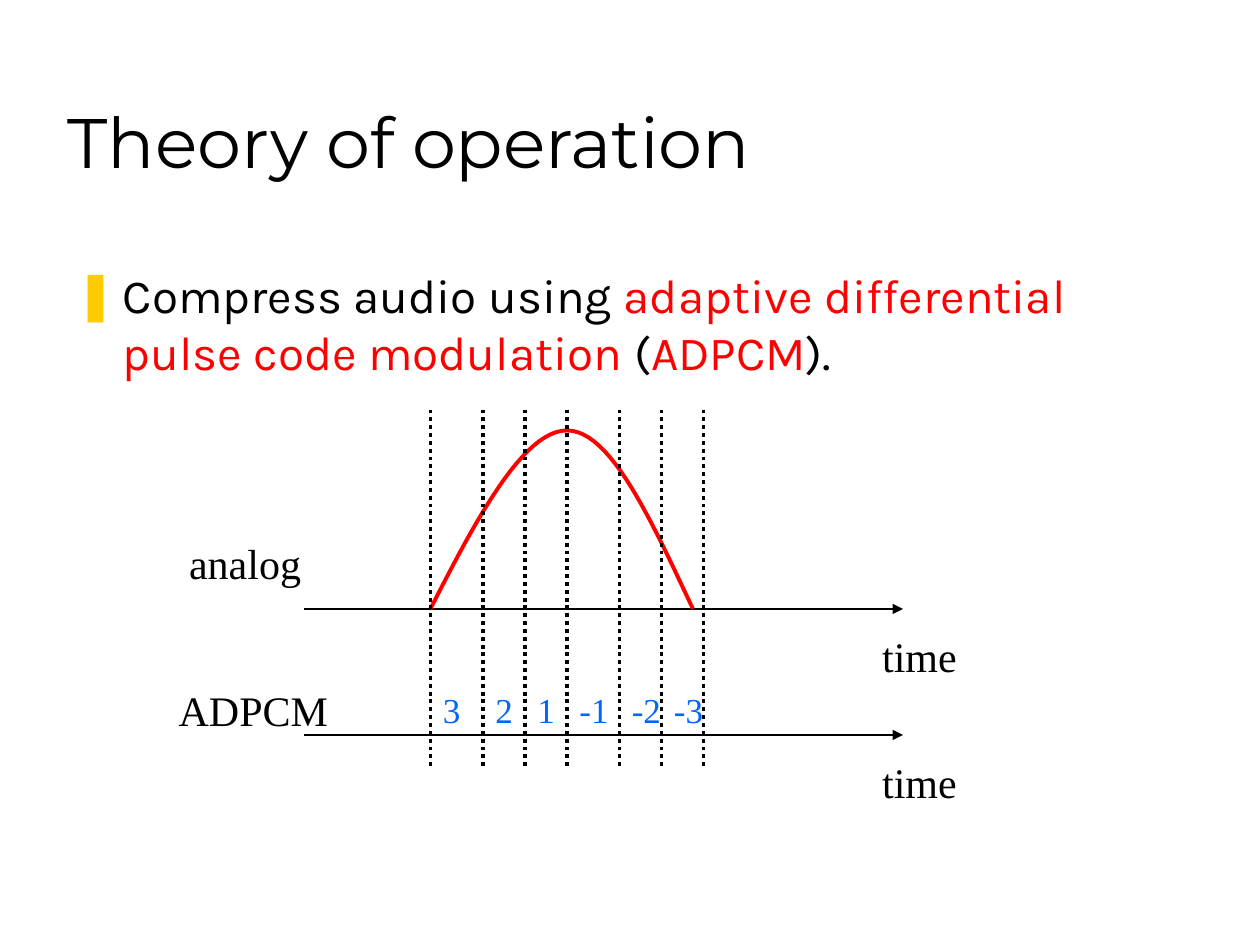
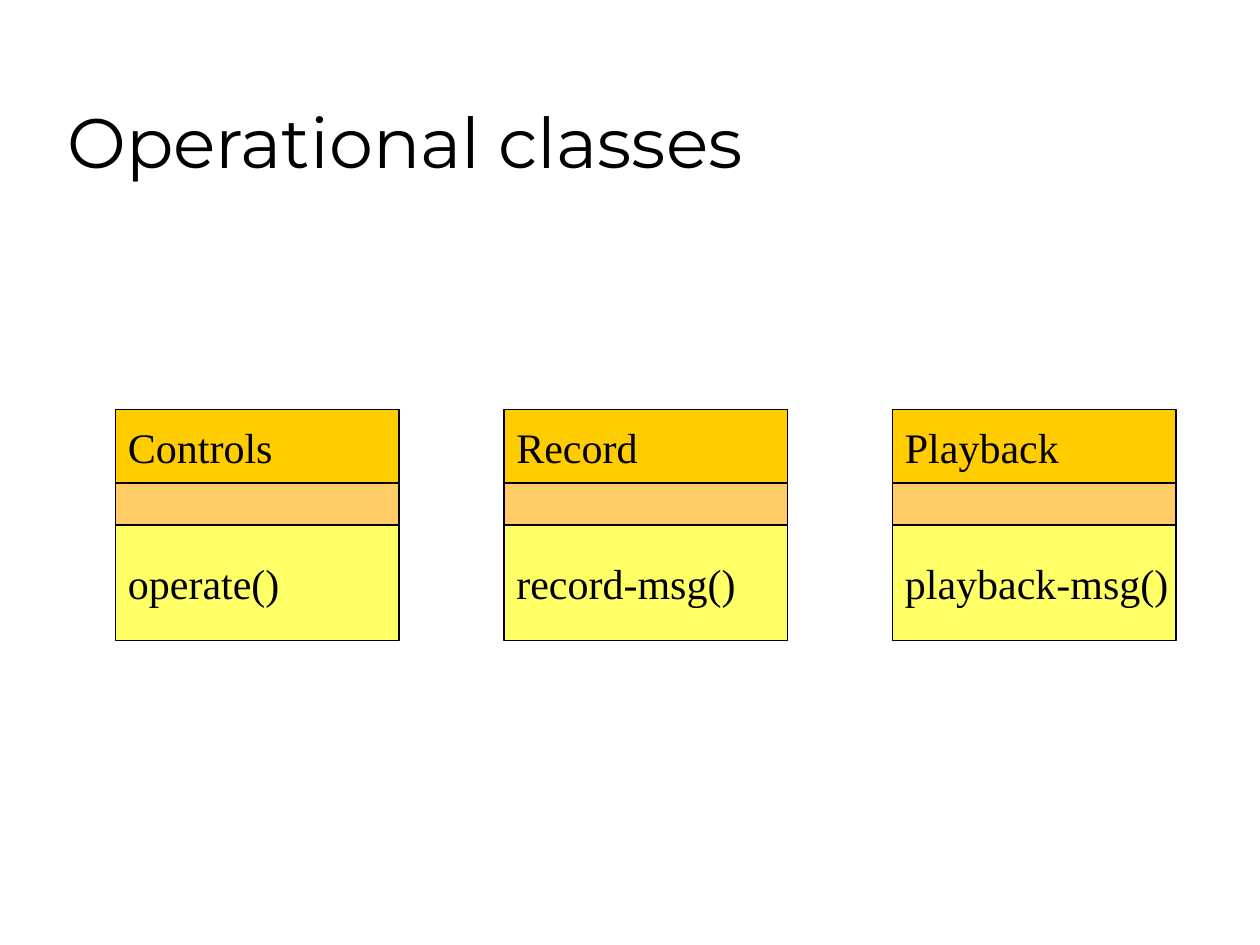
"""Build two slides on ADPCM audio compression and its operational classes."""
import dataclasses

import lxml.etree
import pptx
import pptx.dml.color
import pptx.enum.dml
import pptx.enum.shapes
import pptx.enum.text
import pptx.oxml.ns
import pptx.util

Pt = pptx.util.Pt
qn = pptx.oxml.ns.qn
rgb = pptx.dml.color.RGBColor.from_string


@dataclasses.dataclass(frozen=True)
class Theme:
    """Colours, fonts and type sizes of the slides."""
    black = rgb("000000")
    red = rgb("FF0000")
    blue = rgb("0066FF")
    gold = rgb("FFCC00")
    orange = rgb("FFCC66")
    yellow = rgb("FFFF66")
    title_font = "Montserrat"
    body_font = "Karla"
    label_font = "Times New Roman"
    title_size = 40
    body_size = 27.2
    label_size = 24
    code_size = 20
    thin = 0.75
    thick = 2.25


T = Theme()


def place(s, left, top, width, height):
    """Move and size a shape."""
    s.left, s.top, s.width, s.height = Pt(left), Pt(top), Pt(width), Pt(height)


def style(r, font, size, color):
    """Format one run."""
    r.font.name, r.font.size, r.font.color.rgb = font, Pt(size), color


def write(tf, text, size=T.label_size, color=T.black):
    """Set one unwrapped, left-aligned line of text."""
    tf.word_wrap = False
    tf.text = text
    p = tf.paragraphs[0]
    p.alignment = pptx.enum.text.PP_ALIGN.LEFT
    for r in p.runs:
        style(r, T.label_font, size, color)


def add_slide(prs, layout, title):
    """Add a slide with its title."""
    s = prs.slides.add_slide(prs.slide_layouts.get_by_name(layout))
    sp = s.shapes.title
    place(sp, 31.5, 18, 612, 90)
    tf = sp.text_frame
    tf.text = title
    tf.auto_size = pptx.enum.text.MSO_AUTO_SIZE.NONE
    tf.vertical_anchor = pptx.enum.text.MSO_ANCHOR.BOTTOM
    p = tf.paragraphs[0]
    p.alignment = pptx.enum.text.PP_ALIGN.LEFT
    style(p.runs[0], T.title_font, T.title_size, T.black)
    return s


def add_bullet(sp, parts):
    """Fill the body with one bullet of coloured parts."""
    tf = sp.text_frame
    tf.auto_size = pptx.enum.text.MSO_AUTO_SIZE.NONE
    p = tf.paragraphs[0]
    props = p._p.get_or_add_pPr()
    props.set("marL", str(Pt(27)))
    props.set("indent", str(Pt(-27)))
    color = lxml.etree.SubElement(props, qn("a:buClr"))
    lxml.etree.SubElement(color, qn("a:srgbClr"), val=str(T.gold))
    lxml.etree.SubElement(props, qn("a:buChar"), char="❚")
    p.space_before = Pt(0)
    for text, tint in parts:
        r = p.add_run()
        r.text = text
        style(r, T.body_font, T.body_size, tint)


def add_line(s, start, end, width):
    """Draw a straight black line."""
    sp = s.shapes.add_connector(pptx.enum.shapes.MSO_CONNECTOR.STRAIGHT,
                                *map(Pt, start + end))
    sp.line.color.rgb = T.black
    sp.line.width = Pt(width)
    lxml.etree.SubElement(sp._element.spPr, qn("a:effectLst"))
    return sp


def add_label(s, text, left, top, width, height=36, size=T.label_size,
              color=T.black):
    """Add a text box of one line."""
    sp = s.shapes.add_textbox(*map(Pt, (left, top, width, height)))
    write(sp.text_frame, text, size, color)
    sp.text_frame.auto_size = pptx.enum.text.MSO_AUTO_SIZE.SHAPE_TO_FIT_TEXT


def add_time_axis(s, y):
    """Draw a time arrow with its caption."""
    sp = add_line(s, (174, y), (516, y), T.thin)
    lxml.etree.SubElement(sp._element.spPr.find(qn("a:ln")), qn("a:tailEnd"),
                          type="triangle")
    add_label(s, "time", 497, y + 9, 57)


def bezier(a, b, c, d, steps=24):
    """Return the points of a cubic curve after its start."""
    ts = [i / steps for i in range(1, steps + 1)]
    return [tuple((1 - t) ** 3 * i + 3 * t * (1 - t) ** 2 * j
                  + 3 * t * t * (1 - t) * k + t ** 3 * m
                  for i, j, k, m in zip(a, b, c, d)) for t in ts]


def add_wave(s, start, peak, end):
    """Draw the analog pulse."""
    points = bezier(start, (272, 297), (299, peak[1]), peak)
    points += bezier(peak, (349, peak[1]), (372, 297), end)
    fb = s.shapes.build_freeform(*map(Pt, start))
    fb.add_line_segments([(Pt(x), Pt(y)) for x, y in points], close=False)
    sp = fb.convert_to_shape()
    sp.shadow.inherit = False
    sp.fill.background()
    sp.line.color.rgb = T.red
    sp.line.width = Pt(T.thick)


def add_class(s, left, name, operation):
    """Stack the name, attribute and operation boxes of a class."""
    top = 234
    for text, height, fill in ((name, 42, T.gold), ("", 24, T.orange),
                               (operation, 66, T.yellow)):
        sp = s.shapes.add_shape(pptx.enum.shapes.MSO_SHAPE.RECTANGLE,
                                *map(Pt, (left, top, 162, height)))
        sp.shadow.inherit = False
        sp.fill.solid()
        sp.fill.fore_color.rgb = fill
        sp.line.color.rgb = T.black
        sp.line.width = Pt(T.thin)
        if text:
            write(sp.text_frame, text)
        top += height


def build_theory(prs):
    """Build the slide on the theory of operation."""
    s = add_slide(prs, "Title and Content", "Theory of operation")
    body = s.placeholders[1]
    place(body, 36, 148.5, 643.5, 97)
    add_bullet(body, [
        ("Compress audio using ", T.black),
        ("adaptive differential pulse code modulation", T.red),
        (" (", T.black), ("ADPCM", T.red), (").", T.black)])
    for y in (348, 420):
        add_time_axis(s, y)
    add_wave(s, (246, 348), (324, 246), (396, 348))
    samples = (246, 276, 300, 324, 354, 378, 402)
    for x in samples:
        sp = add_line(s, (x, 234), (x, 438), T.thick)
        sp.line.dash_style = pptx.enum.dml.MSO_LINE.ROUND_DOT
    add_label(s, "analog", 101, 303.5, 80)
    add_label(s, "ADPCM", 95, 387.5, 104)
    for x, code in zip(samples, ("3", "2", "1", "-1", "-2", "-3")):
        add_label(s, code, x, 390, 24.5 if len(code) == 1 else 31, 31.5,
                  T.code_size, T.blue)


def build_classes(prs):
    """Build the slide on the operational classes."""
    s = add_slide(prs, "Title Only", "Operational classes")
    classes = (("Controls", "operate()"), ("Record", "record-msg()"),
               ("Playback", "playback-msg()"))
    for i, (name, operation) in enumerate(classes):
        add_class(s, 66 + 222 * i, name, operation)


def main():
    """Build and save the presentation."""
    prs = pptx.Presentation()
    prs.slide_width, prs.slide_height = Pt(720), Pt(540)
    build_theory(prs)
    build_classes(prs)
    prs.save("out.pptx")


if __name__ == "__main__":
    main()
